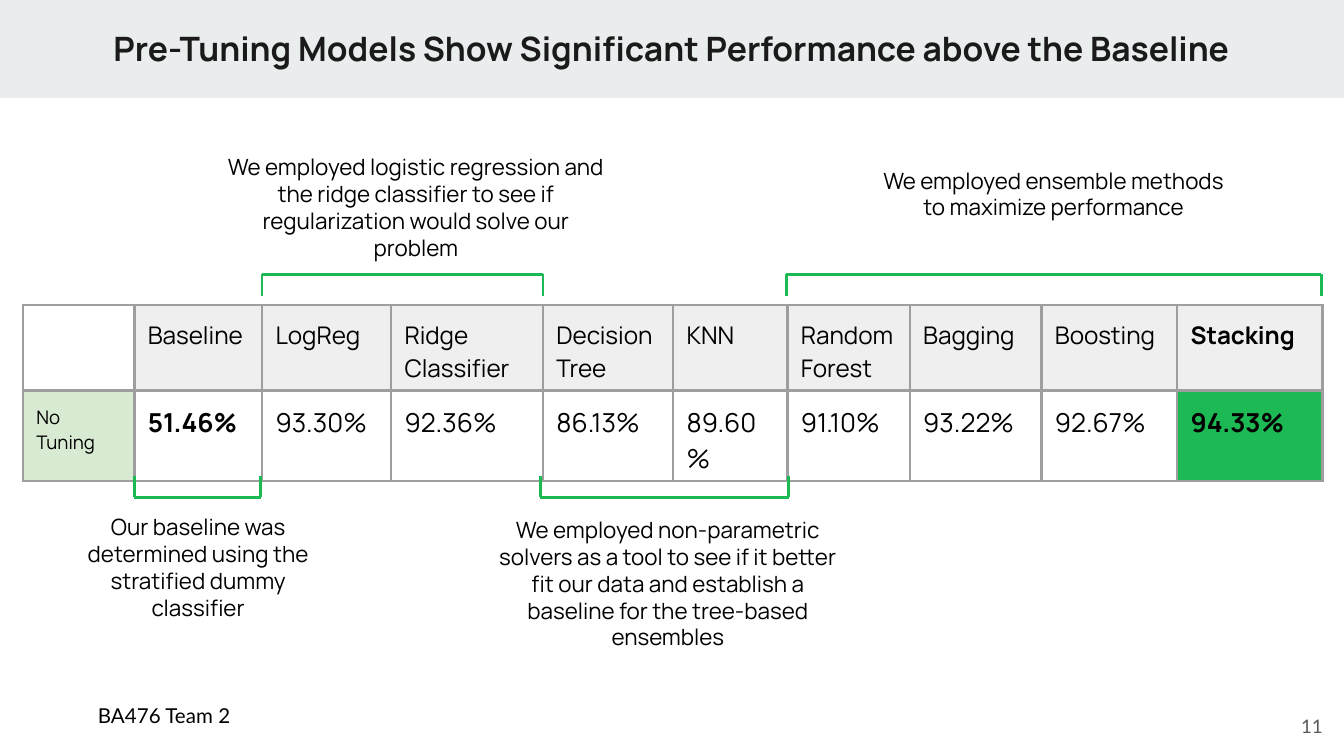
"""Build the slide that compares model accuracy before tuning."""
import lxml.etree
import pptx
import pptx.dml.color
import pptx.enum.shapes
import pptx.enum.text
import pptx.oxml.ns
import pptx.util

Inches = pptx.util.Inches
Align = pptx.enum.text.PP_ALIGN
Anchor = pptx.enum.text.MSO_ANCHOR

GREEN = "1DB954"
BORDER = "9E9E9E"
TABLE_LEFT = 0.17
COLUMN_WIDTHS = [0.83, 0.95, 0.96, 1.13, 0.97, 0.85, 0.91, 0.98, 1.01, 1.08]
MODELS = ["", "Baseline", "LogReg", "Ridge Classifier", "Decision Tree", "KNN",
          "Random Forest", "Bagging", "Boosting", "Stacking"]
SCORES = ["No Tuning", "51.46%", "93.30%", "92.36%", "86.13%", "89.60%",
          "91.10%", "93.22%", "92.67%", "94.33%"]
NOTES = [
    (0.55, 3.72, 1.85, 1.01,
     "Our baseline was determined using the stratified dummy classifier"),
    (1.59, 1.04, 3.01, 1.01,
     "We employed logistic regression and the ridge classifier to see if "
     "regularization would solve our problem"),
    (3.58, 3.74, 2.78, 1.21,
     "We employed non-parametric solvers as a tool to see if it better fit our "
     "data and establish a baseline for the tree-based ensembles"),
    (6.45, 1.14, 2.78, 0.81,
     "We employed ensemble methods to maximize performance"),
]
BRACKETS = [(1.95, 4.04, 2.04, 2.2), (5.85, 9.83, 2.04, 2.2),
            (1, 1.94, 3.7, 3.54), (4.02, 5.87, 3.7, 3.54)]


def color(value):
    """Return the colour for a hex string."""
    return pptx.dml.color.RGBColor.from_string(value)


def write(frame, text, size=12, font="Manrope", ink="000000", bold=False,
          align=Align.LEFT):
    """Write one formatted paragraph into a text frame."""
    paragraph = frame.paragraphs[0]
    paragraph.alignment = align
    run = paragraph.add_run()
    run.text = text
    run.font.size = pptx.util.Pt(size)
    run.font.name = font
    run.font.bold = bold
    run.font.color.rgb = color(ink)


def add_text(slide, left, top, width, height, text, anchor=Anchor.TOP, **style):
    """Add a wrapping text box with even insets."""
    box = slide.shapes.add_textbox(Inches(left), Inches(top), Inches(width), Inches(height))
    frame = box.text_frame
    frame.word_wrap = True
    frame.vertical_anchor = anchor
    frame.margin_left = frame.margin_right = Inches(0.1)
    frame.margin_top = frame.margin_bottom = Inches(0.1)
    write(frame, text, **style)


def add_banner(slide):
    """Add the pale band behind the title."""
    banner = slide.shapes.add_shape(pptx.enum.shapes.MSO_SHAPE.RECTANGLE,
                                    0, 0, Inches(10), Inches(0.73))
    banner.shadow.inherit = False
    banner.fill.solid()
    banner.fill.fore_color.rgb = color("E9EDEE")
    banner.line.fill.background()


def format_cell(cell, fill):
    """Set the insets, borders and fill of a table cell."""
    cell.margin_left = cell.margin_right = Inches(0.1)
    cell.margin_top = cell.margin_bottom = Inches(0.1)
    properties = cell._tc.get_or_add_tcPr()
    qualify = pptx.oxml.ns.qn
    for side in ("a:lnL", "a:lnR", "a:lnT", "a:lnB"):
        line = lxml.etree.SubElement(properties, qualify(side), w=str(pptx.util.Pt(1.5)))
        solid = lxml.etree.SubElement(line, qualify("a:solidFill"))
        lxml.etree.SubElement(solid, qualify("a:srgbClr"), val=BORDER)
    if fill:
        cell.fill.solid()
        cell.fill.fore_color.rgb = color(fill)
    else:
        cell.fill.background()


def add_row_table(slide, top, height, texts, fills, sizes, bold_columns):
    """Add a one-row table on the shared column grid."""
    frame = slide.shapes.add_table(1, len(texts), Inches(TABLE_LEFT), Inches(top),
                                   Inches(sum(COLUMN_WIDTHS)), Inches(height))
    table = frame.table
    table.first_row = table.horz_banding = False
    table.rows[0].height = Inches(height)
    for index, text in enumerate(texts):
        table.columns[index].width = Inches(COLUMN_WIDTHS[index])
        cell = table.cell(0, index)
        format_cell(cell, fills[index])
        if text:
            write(cell.text_frame, text, size=sizes[index], bold=index in bold_columns)


def add_bracket(slide, left, right, bar, tip):
    """Add a grouped bracket whose two ends point from the bar to the tip."""
    group = slide.shapes.add_group_shape()
    for start_x, start_y, end_x in ((left, bar, right), (left, tip, left), (right, tip, right)):
        line = group.shapes.add_connector(pptx.enum.shapes.MSO_CONNECTOR.STRAIGHT,
                                          Inches(start_x), Inches(start_y),
                                          Inches(end_x), Inches(bar))
        line.line.color.rgb = color(GREEN)
        line.line.width = pptx.util.Pt(1.5)
        lxml.etree.SubElement(line._element.spPr, pptx.oxml.ns.qn("a:effectLst"))


def main():
    """Build and save the slide."""
    presentation = pptx.Presentation()
    presentation.slide_width = Inches(10)
    presentation.slide_height = presentation.slide_width * 9 // 16
    slide = presentation.slides.add_slide(presentation.slide_layouts[6])

    add_banner(slide)
    add_text(slide, 0.05, 0.11, 9.89, 0.59,
             "Pre-Tuning Models Show Significant Performance above the Baseline",
             size=18, ink="1A1A1A", bold=True, align=Align.CENTER)
    add_text(slide, 9.34, 5.19, 0.6, 0.43, "11", anchor=Anchor.MIDDLE,
             size=10, font="Lato", ink="595959", align=Align.RIGHT)
    add_text(slide, 0.63, 5.14, 1.21, 0.39, "BA476 Team 2", size=11, font="Lato")

    add_row_table(slide, 2.91, 0.56, SCORES, ["D9EAD3"] + [None] * 8 + [GREEN],
                  [10] + [14] * 9, (1, 9))
    add_row_table(slide, 2.27, 0.59, MODELS, [None] + ["EFEFEF"] * 9, [13] * 10, (9,))

    for left, top, width, height, text in NOTES:
        add_text(slide, left, top, width, height, text, align=Align.CENTER)
    for bracket in BRACKETS:
        add_bracket(slide, *bracket)

    presentation.save("out.pptx")


if __name__ == "__main__":
    main()
